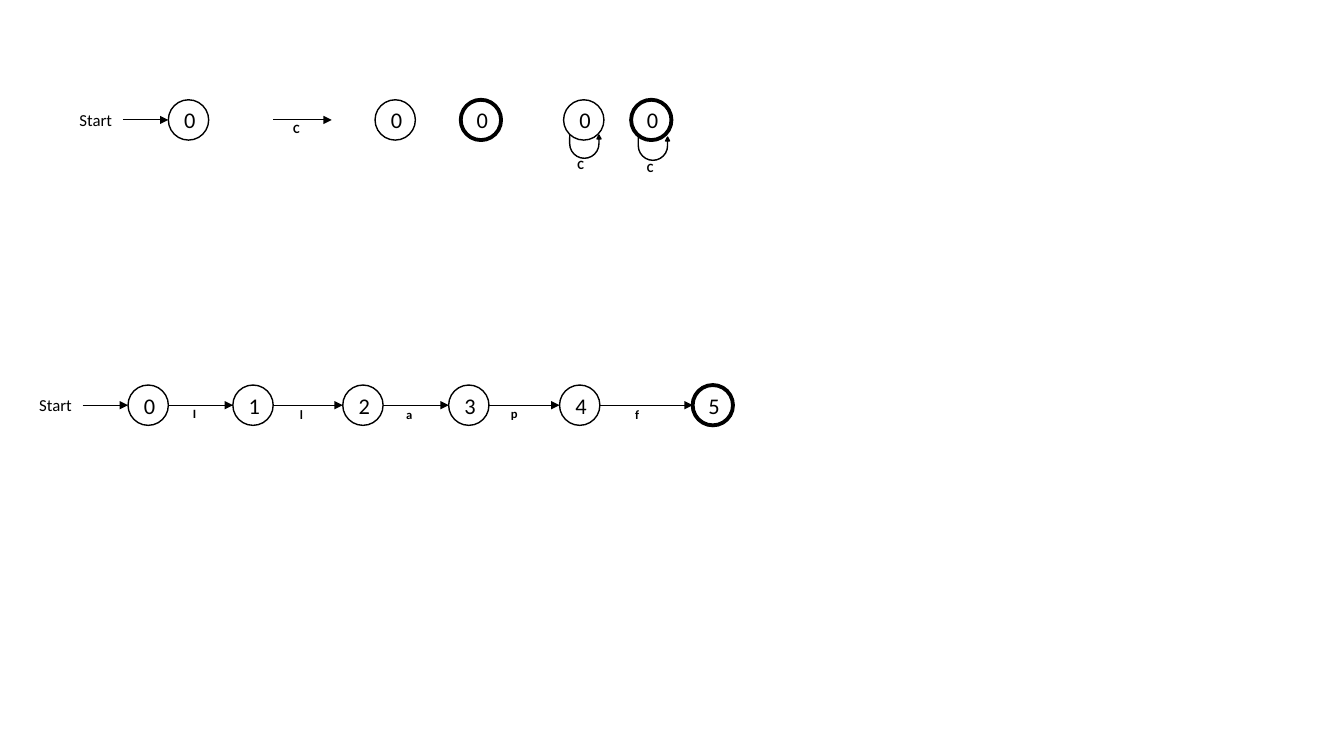
from dataclasses import dataclass

import pptx
import pptx.dml.color
import pptx.enum.shapes
import pptx.enum.text
import pptx.oxml.ns
import pptx.util
from lxml import etree
from pptx.shapes.autoshape import Shape
from pptx.shapes.shapetree import SlideShapes
from pptx.text.text import TextFrame
from pptx.util import Inches

COLORS = {"ink": "000000", "background": "FFFFFF"}
FONT = "Calibri"
DIAMETER = 0.4
LEGEND_AXIS = 1.19
CHAIN_AXIS = 4.02
LOOP_ADJUSTMENTS = (0, 0.085, 0.164, 0.717, 1)


@dataclass(frozen=True)
class State:
    name: str
    left: float
    axis: float
    accepting: bool = False


@dataclass(frozen=True)
class Label:
    text: str
    left: float
    top: float


@dataclass(frozen=True)
class Transition:
    start: float
    end: float
    axis: float


@dataclass(frozen=True)
class Loop:
    left: float
    top: float


CHAIN = [
    State("0", 1.27, CHAIN_AXIS),
    State("1", 2.31, CHAIN_AXIS),
    State("2", 3.4, CHAIN_AXIS),
    State("3", 4.45, CHAIN_AXIS),
    State("4", 5.55, CHAIN_AXIS),
    State("5", 6.87, CHAIN_AXIS, accepting=True),
]
LEGEND = [
    State("0", 1.67, LEGEND_AXIS),
    State("0", 3.72, LEGEND_AXIS),
    State("0", 4.57, LEGEND_AXIS, accepting=True),
    State("0", 5.59, LEGEND_AXIS),
    State("0", 6.26, LEGEND_AXIS, accepting=True),
]
LOOPS = [Loop(5.65, 1.34), Loop(6.33, 1.36)]
LABELS = [
    Label("I", 1.85, 3.98),
    Label("l", 2.91, 3.99),
    Label("a", 3.98, 3.99),
    Label("p", 5.02, 3.98),
    Label("f", 6.24, 3.99),
    Label("C", 2.86, 1.15),
    Label("C", 5.68, 1.51),
    Label("C", 6.37, 1.54),
]


def color(name: str) -> pptx.dml.color.RGBColor:
    return pptx.dml.color.RGBColor.from_string(COLORS[name])


def write_text(frame: TextFrame, text: str, *, size: float, bold: bool = False,
               centered: bool = False) -> None:
    paragraph = frame.paragraphs[0]
    if centered:
        paragraph.alignment = pptx.enum.text.PP_ALIGN.CENTER
    run = paragraph.add_run()
    run.text = text
    run.font.name = FONT
    run.font.size = pptx.util.Pt(size)
    run.font.bold = bold
    run.font.color.rgb = color("ink")


def outline(shape: Shape, width: float) -> None:
    shape.shadow.inherit = False
    shape.line.color.rgb = color("ink")
    shape.line.width = pptx.util.Pt(width)


def draw_state(shapes: SlideShapes, state: State) -> None:
    circle = shapes.add_shape(
        pptx.enum.shapes.MSO_SHAPE.OVAL, Inches(state.left),
        Inches(state.axis - DIAMETER / 2), Inches(DIAMETER), Inches(DIAMETER))
    circle.fill.background()
    outline(circle, 2.75 if state.accepting else 1)
    circle.text_frame.vertical_anchor = pptx.enum.text.MSO_ANCHOR.MIDDLE
    write_text(circle.text_frame, state.name, size=16, centered=True)


def draw_transition(shapes: SlideShapes, transition: Transition) -> None:
    axis = Inches(transition.axis)
    connector = shapes.add_connector(
        pptx.enum.shapes.MSO_CONNECTOR.STRAIGHT,
        Inches(transition.start), axis, Inches(transition.end), axis)
    connector.line.color.rgb = color("ink")
    connector.line.width = pptx.util.Pt(0.75)
    line = connector.line._get_or_add_ln()
    etree.SubElement(line, pptx.oxml.ns.qn("a:tailEnd"), type="triangle")
    etree.SubElement(connector._element.spPr, pptx.oxml.ns.qn("a:effectLst"))


def draw_label(shapes: SlideShapes, label: Label) -> None:
    box = shapes.add_textbox(
        Inches(label.left), Inches(label.top), Inches(0.16), Inches(0.25))
    frame = box.text_frame
    frame.word_wrap = False
    frame.margin_left = frame.margin_right = 0
    write_text(frame, label.text, size=9, bold=True, centered=True)


def draw_loop(shapes: SlideShapes, loop: Loop) -> None:
    arrow = shapes.add_shape(
        pptx.enum.shapes.MSO_SHAPE.U_TURN_ARROW,
        Inches(loop.left), Inches(loop.top), Inches(0.31), Inches(0.23))
    for index, value in enumerate(LOOP_ADJUSTMENTS):
        arrow.adjustments[index] = value
    arrow.rotation = 180
    arrow._element.spPr.xfrm.set("flipH", "1")
    arrow.fill.solid()
    arrow.fill.fore_color.rgb = color("ink")
    outline(arrow, 1)


def draw_start(shapes: SlideShapes, first: State) -> None:
    box = shapes.add_textbox(
        Inches(first.left - 0.98), Inches(first.axis - 0.15), Inches(0.53), Inches(0.3))
    box.text_frame.word_wrap = False
    write_text(box.text_frame, "Start", size=12)
    draw_transition(shapes, Transition(first.left - 0.45, first.left, first.axis))


def main() -> None:
    presentation = pptx.Presentation()
    presentation.slide_width = Inches(13.33)
    presentation.slide_height = Inches(7.5)
    slide = presentation.slides.add_slide(presentation.slide_layouts[6])
    slide.background.fill.solid()
    slide.background.fill.fore_color.rgb = color("background")
    shapes = slide.shapes

    for first in (LEGEND[0], CHAIN[0]):
        draw_start(shapes, first)
    for state in LEGEND + CHAIN:
        draw_state(shapes, state)
    draw_transition(shapes, Transition(2.71, 3.29, LEGEND_AXIS))
    for source, target in zip(CHAIN, CHAIN[1:]):
        draw_transition(
            shapes, Transition(source.left + DIAMETER, target.left, CHAIN_AXIS))
    for loop in LOOPS:
        draw_loop(shapes, loop)
    for label in LABELS:
        draw_label(shapes, label)

    presentation.save("out.pptx")


if __name__ == "__main__":
    main()
